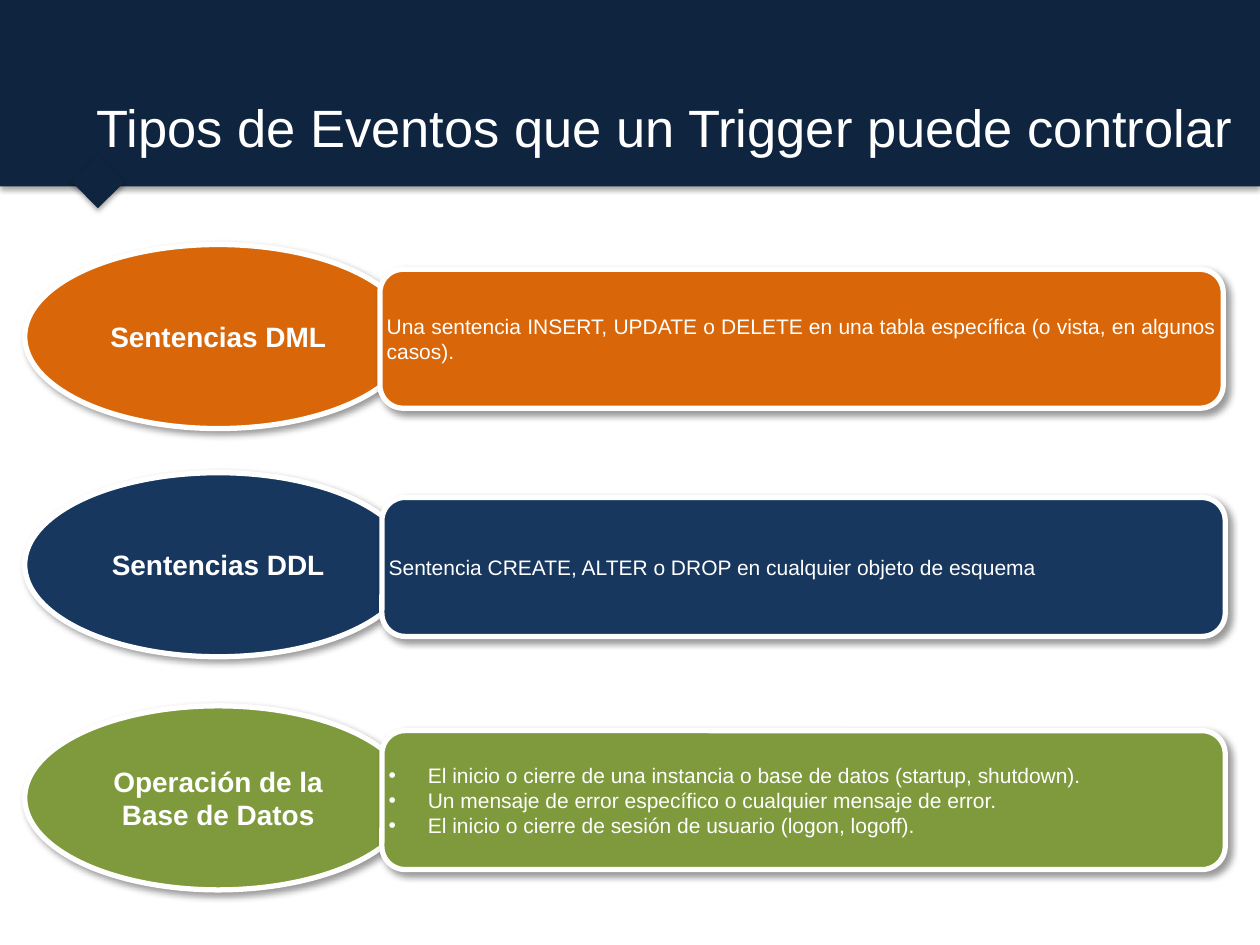
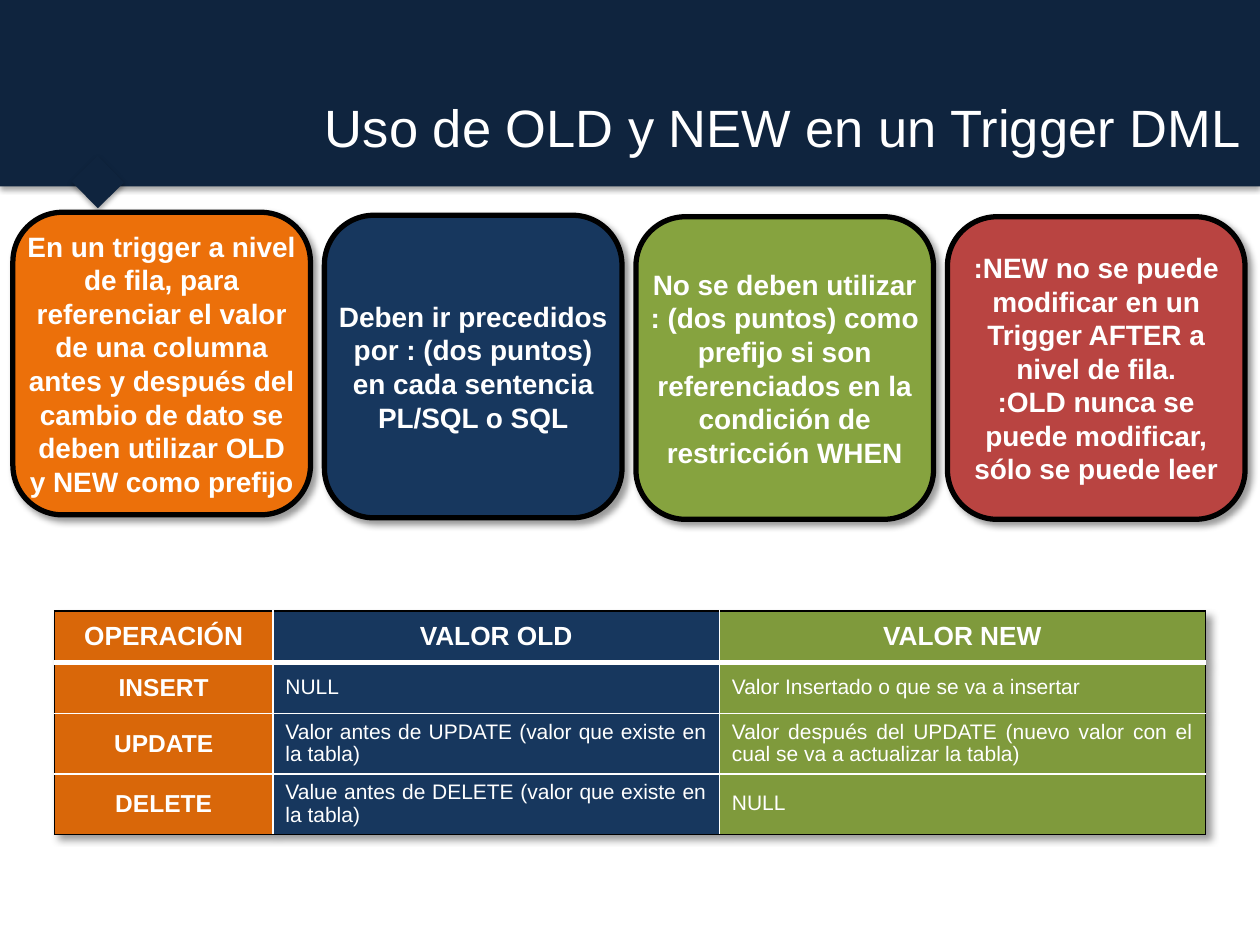
from lxml.etree import SubElement
from pptx import Presentation
from pptx.dml.color import RGBColor
from pptx.enum.shapes import MSO_SHAPE
from pptx.enum.text import MSO_ANCHOR, PP_ALIGN
from pptx.oxml.ns import qn
from pptx.util import Cm, Pt

# Shared look
COLORS = {
    "band": "0F243E", "white": "FFFFFF", "black": "000000",
    "orange": "D96709", "navy": "17375E", "olive": "7F9A3C",
    "bright_orange": "EC700A", "green": "86A33F", "red": "B94441",
}
FONT = "Arial"
BAND_SHADOW = dict(alpha=35, blur=3.1, distance=1.8, angle=90)
CARD_SHADOW = dict(alpha=40, blur=4, distance=3, angle=45)
CENTER, JUSTIFY, LEFT, RIGHT = (
    PP_ALIGN.CENTER, PP_ALIGN.JUSTIFY, PP_ALIGN.LEFT, PP_ALIGN.RIGHT)

# Slide 1: title box as (left, width); events as
# (name, details, color, top of the ellipse, left of the detail box)
EVENTS_TITLE = ("Tipos de Eventos que un Trigger puede controlar", 1.3, 23.8)
EVENTS = [
    ("Sentencias DML",
     ["Una sentencia INSERT, UPDATE o DELETE en una tabla específica "
      "(o vista, en algunos casos)."], "orange", 4.93, 7.66),
    ("Sentencias DDL",
     ["Sentencia CREATE, ALTER o DROP en cualquier objeto de esquema"],
     "navy", 9.53, 7.7),
    ("Operación de la Base de Datos",
     ["El inicio o cierre de una instancia o base de datos (startup, shutdown).",
      "Un mensaje de error específico o cualquier mensaje de error.",
      "El inicio o cierre de sesión de usuario (logon, logoff)."],
     "olive", 14.23, 7.7),
]

# Slide 2: rules as (paragraphs, color, top)
RULES_TITLE = ("Uso de OLD y NEW en un Trigger DML", 0.89, 24.38)
RULES = [
    (["En un trigger a nivel de fila, para referenciar el valor de una columna "
      "antes y después del cambio de dato se deben utilizar OLD y NEW como "
      "prefijo"], "bright_orange", 4.28),
    (["Deben ir precedidos por : (dos puntos) en cada sentencia PL/SQL o SQL"],
     "navy", 4.34),
    (["No se deben utilizar : (dos puntos) como prefijo si son referenciados "
      "en la condición de restricción WHEN"], "green", 4.37),
    ([":NEW no se puede modificar en un Trigger AFTER a nivel de fila.",
      ":OLD nunca se puede modificar, sólo se puede leer"], "red", 4.37),
]
VALUES = [
    ("OPERACIÓN", "VALOR OLD", "VALOR NEW"),
    ("INSERT", "NULL", "Valor Insertado o que se va a insertar"),
    ("UPDATE", "Valor antes de UPDATE (valor que existe en la tabla)",
     "Valor después del UPDATE (nuevo valor con el cual se va a actualizar "
     "la tabla)"),
    ("DELETE", "Value antes de DELETE (valor que existe en la tabla)", "NULL"),
]
COLUMN_COLORS = ("orange", "navy", "olive")
COLUMN_WIDTHS = (4.4, 9, 9.8)
ROW_HEIGHTS = (1.03, 1.03, 1.21, 1.21)


def rgb(name):
    return RGBColor.from_string(COLORS[name])


def add_solid(parent, color, alpha=None):
    fill = SubElement(parent, qn("a:solidFill"))
    SubElement(fill, qn("a:srgbClr"), val=COLORS[color])


def add_shadow(effects, alpha, blur, distance, angle):
    shadow = SubElement(
        effects, qn("a:outerShdw"), blurRad=str(Pt(blur)), dist=str(Pt(distance)),
        dir=str(angle * 60000), algn="tl", rotWithShape="0")
    color = SubElement(shadow, qn("a:srgbClr"), val=COLORS["black"])
    SubElement(color, qn("a:alpha"), val=str(alpha * 1000))


def add_box(slide, kind, left, top, width, height, fill, line=None,
            shadow=CARD_SHADOW):
    shape = slide.shapes.add_shape(kind, Cm(left), Cm(top), Cm(width), Cm(height))
    shape.fill.solid()
    shape.fill.fore_color.rgb = rgb(fill)
    if line:
        shape.line.color.rgb = rgb(line)
        shape.line.width = Pt(3)
    else:
        shape.line.fill.background()
    shape.shadow.inherit = False
    add_shadow(shape._element.spPr.find(qn("a:effectLst")), **shadow)
    frame = shape.text_frame
    frame.margin_left = frame.margin_right = 0
    frame.margin_top = frame.margin_bottom = 0
    return shape


def write(frame, texts, size, align, bold=False, bullets=False, spacing=None):
    frame.word_wrap = True
    frame.vertical_anchor = MSO_ANCHOR.MIDDLE
    for index, text in enumerate(texts):
        paragraph = frame.add_paragraph() if index else frame.paragraphs[0]
        if bullets:
            properties = paragraph._p.get_or_add_pPr()
            properties.set("marL", str(Cm(0.79)))
            properties.set("indent", str(-Cm(0.79)))
            SubElement(properties, qn("a:buFont"), typeface=FONT)
            SubElement(properties, qn("a:buChar"), char="•")
        paragraph.alignment = align
        if spacing:
            paragraph.line_spacing = spacing
        run = paragraph.add_run()
        run.text = text
        run.font.name = FONT
        run.font.size = Pt(size)
        run.font.bold = bold
        run.font.color.rgb = rgb("white")


def add_titled_slide(presentation, title, left, width):
    slide = presentation.slides.add_slide(presentation.slide_layouts[6])
    add_box(slide, MSO_SHAPE.RECTANGLE, 0, 0, 25.4, 3.76, "band",
            shadow=BAND_SHADOW)
    pointer = add_box(slide, MSO_SHAPE.RECTANGLE, 1.59, 3.3, 0.76, 0.74, "band",
                      shadow=BAND_SHADOW)
    pointer.rotation = 45.6
    box = slide.shapes.add_textbox(Cm(left), Cm(0.53), Cm(width), Cm(4.06))
    write(box.text_frame, [title], 30, RIGHT)
    return slide


def set_borders(cell, row, column):
    last_row, last_column = len(VALUES) - 1, len(COLUMN_WIDTHS) - 1
    sides = {
        "a:lnL": ("black" if column == 0 else "white", 1),
        "a:lnR": ("black" if column == last_column else "white", 1),
        "a:lnT": ("black", 1) if row == 0 else ("white", 3 if row == 1 else 1),
        "a:lnB": ("white", 3) if row == 0 else
                 ("black" if row == last_row else "white", 1),
    }
    properties = cell._tc.get_or_add_tcPr()
    for tag, (color, width) in sides.items():
        add_solid(SubElement(properties, qn(tag), w=str(Pt(width))), color)


def build_events(presentation):
    slide = add_titled_slide(presentation, *EVENTS_TITLE)
    for name, details, color, top, detail_left in EVENTS:
        ellipse = add_box(slide, MSO_SHAPE.OVAL, 0.5, top, 7.8, 3.71, color, "white")
        write(ellipse.text_frame, [name], 16, CENTER, bold=True)
        detail = add_box(slide, MSO_SHAPE.ROUNDED_RECTANGLE, detail_left,
                         top + 0.5, 17, 2.8, color, "white")
        write(detail.text_frame, details, 12, JUSTIFY, bullets=len(details) > 1)


def build_rules(presentation):
    slide = add_titled_slide(presentation, *RULES_TITLE)
    # Rule cards
    for index, (texts, color, top) in enumerate(RULES):
        card = add_box(slide, MSO_SHAPE.ROUNDED_RECTANGLE, 0.26 + index * 6.28,
                       top, 6, 6.1, color, "black")
        write(card.text_frame, texts, 16, CENTER, bold=True)

    # Values before and after each operation
    table = slide.shapes.add_table(
        len(VALUES), len(COLUMN_WIDTHS), Cm(1.1), Cm(12.32),
        Cm(sum(COLUMN_WIDTHS)), Cm(sum(ROW_HEIGHTS))).table
    table.horz_banding = False
    properties = table._tbl.tblPr
    effects = properties.makeelement(qn("a:effectLst"))
    properties.insert(0, effects)
    add_shadow(effects, **CARD_SHADOW)
    for column, width in enumerate(COLUMN_WIDTHS):
        table.columns[column].width = Cm(width)
    for row, texts in enumerate(VALUES):
        table.rows[row].height = Cm(ROW_HEIGHTS[row])
        for column, text in enumerate(texts):
            cell = table.cell(row, column)
            heading = row == 0 or column == 0
            size = 15 if row == 0 else 14 if column == 0 else 12
            write(cell.text_frame, [text], size, CENTER if heading else JUSTIFY,
                  bold=heading, spacing=None if heading else 0.95)
            cell.vertical_anchor = MSO_ANCHOR.MIDDLE
            set_borders(cell, row, column)
            cell.fill.solid()
            cell.fill.fore_color.rgb = rgb(COLUMN_COLORS[column])


def main():
    presentation = Presentation()
    presentation.slide_width, presentation.slide_height = Cm(25.4), Cm(19.05)
    build_events(presentation)
    build_rules(presentation)
    presentation.save("out.pptx")


if __name__ == "__main__":
    main()
